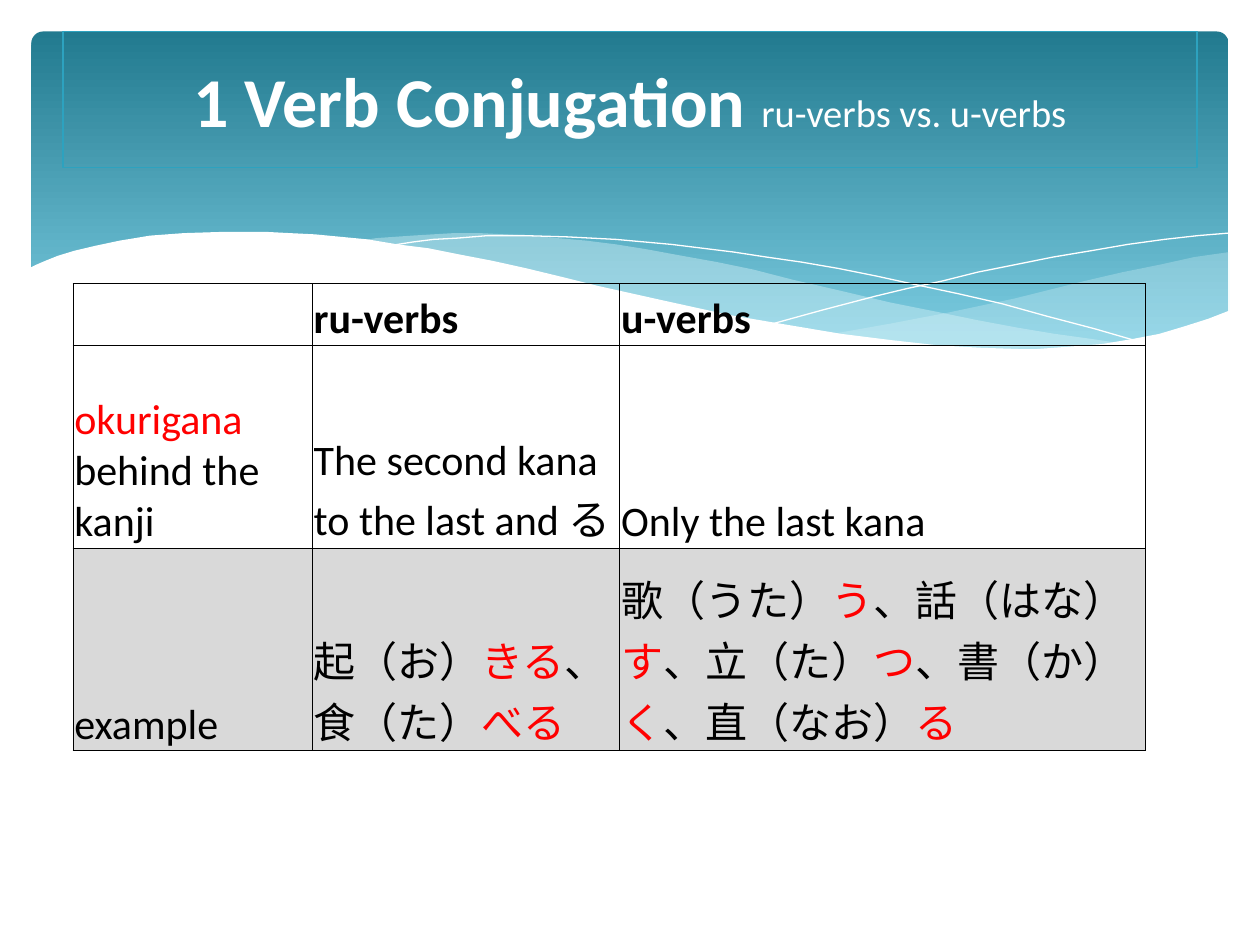
from lxml import etree
from pptx import Presentation
from pptx.dml.color import RGBColor
from pptx.enum.shapes import MSO_SHAPE as SHAPE
from pptx.enum.text import MSO_ANCHOR as ANCHOR, PP_ALIGN as ALIGN
from pptx.oxml import parse_xml
from pptx.oxml.ns import nsdecls, qn
from pptx.util import Inches, Pt

WHITE = RGBColor(0xFF, 0xFF, 0xFF)
BLACK = RGBColor(0, 0, 0)
RED = RGBColor(0xFF, 0, 0)
GREY = RGBColor(0xD9, 0xD9, 0xD9)
DARK_TEAL = RGBColor(0x22, 0x7A, 0x8F)
LIGHT_TEAL = RGBColor(0x7A, 0xCB, 0xE0)
PALE_TEAL = RGBColor(0xDE, 0xF5, 0xFA)
EDGE_TEAL = RGBColor(0x2D, 0xA2, 0xBF)
FONT = "Calibri"

# Curve points in inches from the corner of the header region.
RIGHT_WAVE = [
    (9.76, 2), (9.48, 2.04), (9.21, 2.1), (8.91, 2.16), (8.61, 2.23), (8.05, 2.37),
    (7.53, 2.48), (7.06, 2.57), (6.61, 2.65), (6.91, 2.69), (7.19, 2.72), (7.45, 2.75),
    (7.69, 2.77), (8.03, 2.78), (8.35, 2.77), (8.63, 2.75), (8.89, 2.72), (9.13, 2.67),
    (9.35, 2.62), (9.63, 2.52), (9.76, 2.47)]
MIDDLE_WAVE = [
    (8.93, 2.73), (8.66, 2.69), (8.37, 2.65), (8.07, 2.6), (7.75, 2.54), (7.41, 2.47),
    (7.06, 2.4), (6.68, 2.31), (6.29, 2.22), (5.98, 2.14), (5.69, 2.08), (5.41, 2.03),
    (5.14, 1.98), (4.89, 1.94), (4.65, 1.91), (4.42, 1.89), (4.2, 1.87), (3.8, 1.85),
    (3.61, 1.85), (3.28, 1.87), (2.99, 1.89), (2.86, 1.91), (3.23, 1.96), (3.62, 2.03),
    (4.04, 2.11), (4.49, 2.22), (4.91, 2.32), (5.3, 2.4), (5.66, 2.48), (6.01, 2.55),
    (6.34, 2.61), (6.65, 2.66), (6.95, 2.7), (7.22, 2.74), (7.48, 2.76), (7.85, 2.78),
    (8.28, 2.78), (8.57, 2.77), (8.76, 2.75)]
FALLING_LINE = [
    (3.09, 1.95), (3.28, 1.92), (3.44, 1.9), (3.63, 1.89), (3.87, 1.87), (4.16, 1.87),
    (4.5, 1.88), (4.89, 1.9), (5.33, 1.94), (5.82, 2), (6.08, 2.04), (6.36, 2.08),
    (6.65, 2.13), (6.95, 2.19), (7.27, 2.26), (7.6, 2.33), (7.95, 2.41), (8.31, 2.51),
    (8.69, 2.61), (9.07, 2.72)]
RISING_LINE = [
    (6.13, 2.57), (6.53, 2.46), (6.95, 2.35), (7.2, 2.29), (7.48, 2.23), (7.76, 2.16),
    (8.06, 2.1), (8.36, 2.04), (8.66, 1.99), (8.95, 1.94), (9.24, 1.9), (9.51, 1.87),
    (9.75, 1.85)]
WHITE_WAVE = [
    (9.77, 2.46), (9.59, 2.53), (9.4, 2.59), (9.2, 2.65), (8.99, 2.69), (8.75, 2.73),
    (8.5, 2.75), (8.23, 2.77), (8.09, 2.77), (7.78, 2.76), (7.44, 2.74), (7.08, 2.7),
    (6.68, 2.65), (6.26, 2.58), (5.79, 2.5), (5.29, 2.39), (4.75, 2.27), (4.47, 2.2),
    (4.18, 2.13), (3.91, 2.07), (3.65, 2.02), (3.4, 1.97), (3.16, 1.94), (2.92, 1.9),
    (2.71, 1.88), (2.5, 1.86), (2.3, 1.85), (2.11, 1.84), (1.77, 1.84), (1.46, 1.85),
    (1.19, 1.87), (0.95, 1.91), (0.76, 1.95), (0.59, 1.99), (0.46, 2.03), (0.36, 2.07),
    (0.29, 2.1), (0.23, 2.13), (0.23, 3.29), (9.77, 3.29)]

COLUMN_WIDTHS = (1.9, 2.44, 4.17)
ROW_HEIGHTS = (0.49, 1.61, 1.61)
# Each cell alternates between black and red text, starting with black.
ROWS = [
    [[], ["ru-verbs"], ["u-verbs"]],
    [["", "okurigana", " behind the kanji"],
     ["The second kana to the last and る"],
     ["Only the last kana"]],
    [["example"],
     ["起（お）", "きる", "、食（た）", "べる"],
     ["歌（うた）", "う", "、話（はな）", "す", "、立（た）", "つ", "、書（か）", "く",
      "、直（なお）", "る"]],
]


def add_run(p, text, size, color, bold=False):
    r = p.add_run()
    r.text = text
    r.font.name, r.font.size, r.font.bold = FONT, Pt(size), bold
    r.font.color.rgb = color


def add_curve(s, left, top, points, fill=None, alpha=100):
    """Draw a closed wave with a fill, or an open white hairline without one."""
    (x, y), *rest = [(left + Inches(x), top + Inches(y)) for x, y in points]
    builder = s.shapes.build_freeform(x, y, scale=1.0)
    builder.add_line_segments(rest, close=fill is not None)
    sp = builder.convert_to_shape()
    sp.shadow.inherit = False
    if fill is None:
        sp.fill.background()
        sp.line.color.rgb = WHITE
        sp.line.width = 0
        return
    sp.line.fill.background()
    sp.fill.solid()
    sp.fill.fore_color.rgb = fill
    if alpha < 100:
        color = sp._element.spPr.find(qn("a:solidFill"))[0]
        etree.SubElement(color, qn("a:alpha"), val=str(alpha * 1000))


def draw_header(s, left, top, width):
    margin = Inches(0.25)
    panel = s.shapes.add_shape(SHAPE.ROUNDED_RECTANGLE, left + margin, top + margin,
                               width - 2 * margin, Inches(2.7))
    panel.adjustments[0] = 0.034
    panel.shadow.inherit = False
    panel.line.fill.background()
    panel.fill.gradient()
    panel.fill.gradient_angle = 270
    stops = zip(panel.fill.gradient_stops, (DARK_TEAL, LIGHT_TEAL), (0, 0.9))
    for stop, color, position in stops:
        stop.color.rgb = color
        stop.position = position
    add_curve(s, left, top, RIGHT_WAVE, PALE_TEAL, 29)
    add_curve(s, left, top, MIDDLE_WAVE, PALE_TEAL, 40)
    add_curve(s, left, top, FALLING_LINE)
    add_curve(s, left, top, RISING_LINE)
    add_curve(s, left, top, WHITE_WAVE, WHITE)


def draw_title(s, left, top, width, height):
    box = s.shapes.add_textbox(left, top, width, height)
    box.line.color.rgb = EDGE_TEAL
    box.line.width = Pt(0.75)
    tf = box.text_frame
    tf.word_wrap = True
    tf.vertical_anchor = ANCHOR.MIDDLE
    p = tf.paragraphs[0]
    p.alignment = ALIGN.CENTER
    add_run(p, "1 Verb Conjugation ", 40, WHITE, bold=True)
    add_run(p, "ru-verbs vs. u-verbs", 22, WHITE)


def add_borders(cell):
    tcPr = cell._tc.get_or_add_tcPr()
    for i, side in enumerate(("lnL", "lnR", "lnT", "lnB")):
        tcPr.insert(i, parse_xml(
            f'<a:{side} {nsdecls("a")} w="{Pt(0.5)}"><a:solidFill>'
            f'<a:srgbClr val="{BLACK}"/></a:solidFill></a:{side}>'))


def draw_verb_table(s, left, top, width, height):
    table = s.shapes.add_table(len(ROWS), len(COLUMN_WIDTHS), left, top, width, height).table
    table.first_row = table.horz_banding = False
    for column, w in zip(table.columns, COLUMN_WIDTHS):
        column.width = Inches(w)
    for row, h in zip(table.rows, ROW_HEIGHTS):
        row.height = Inches(h)
    for i, row in enumerate(ROWS):
        for j, parts in enumerate(row):
            cell = table.cell(i, j)
            cell.vertical_anchor = ANCHOR.BOTTOM
            cell.margin_left = cell.margin_right = cell.margin_top = Inches(0.01)
            cell.margin_bottom = 0
            if i == len(ROWS) - 1:
                cell.fill.solid()
                cell.fill.fore_color.rgb = GREY
            else:
                cell.fill.background()
            add_borders(cell)
            p = cell.text_frame.paragraphs[0]
            for k, text in enumerate(parts):
                if text:
                    add_run(p, text, 24, RED if k % 2 else BLACK, bold=i == 0)


def main():
    prs = Presentation()
    prs.slide_width, prs.slide_height = Inches(10), Inches(7.5)
    s = prs.slides.add_slide(prs.slide_layouts[6])
    draw_header(s, 0, 0, prs.slide_width)
    draw_title(s, Inches(0.5), Inches(0.25), Inches(9), Inches(1.08))
    draw_verb_table(s, Inches(0.58), Inches(2.25), Inches(8.5), Inches(3.7))
    prs.save("out.pptx")


if __name__ == "__main__":
    main()
